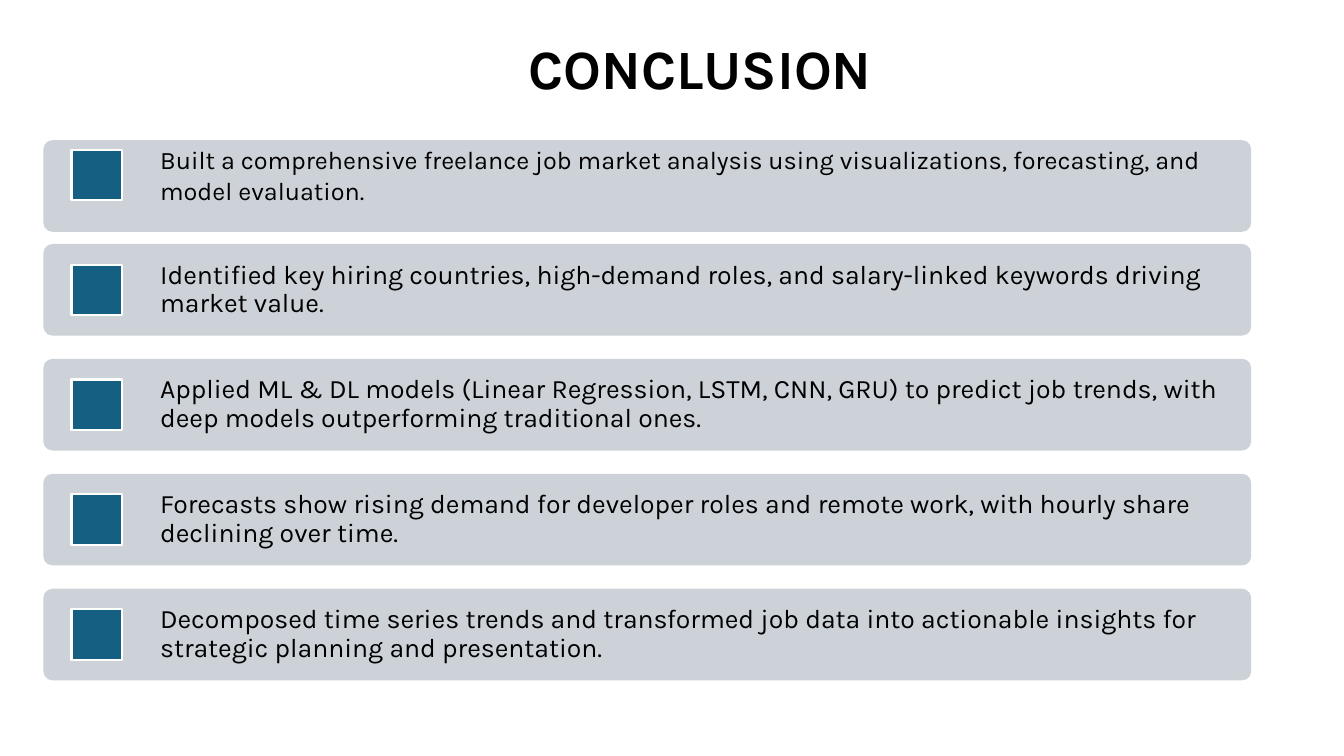
from pptx import Presentation
from pptx.dml.color import RGBColor
from pptx.enum.shapes import MSO_SHAPE
from pptx.enum.text import MSO_ANCHOR, MSO_AUTO_SIZE, PP_ALIGN
from pptx.util import Inches, Pt

BLACK = RGBColor(0x00, 0x00, 0x00)
WHITE = RGBColor(0xFF, 0xFF, 0xFF)
GREY = RGBColor(0xCC, 0xD2, 0xD8)
TEAL = RGBColor(0x15, 0x60, 0x82)

TOP = 1.28
PITCH = 1.14
HEIGHT = 0.91

# Bar shift, text size and line spacing, then the wording
POINTS = [
    (0.11, 18, 1.0, "Built a comprehensive freelance job market analysis using "
     "visualizations, forecasting, and model evaluation."),
    (0, 19, 0.9, "Identified key hiring countries, high-demand roles, and "
     "salary-linked keywords driving market value."),
    (0, 19, 0.9, "Applied ML & DL models (Linear Regression, LSTM, CNN, GRU) to "
     "predict job trends, with deep models outperforming traditional ones."),
    (0, 19, 0.9, "Forecasts show rising demand for developer roles and remote "
     "work, with hourly share declining over time."),
    (0, 19, 0.9, "Decomposed time series trends and transformed job data into "
     "actionable insights for strategic planning and presentation."),
]


class Deck:
    font = "Karla"

    def __init__(self):
        self.file = Presentation()
        self.file.slide_width = Inches(13.33)
        self.file.slide_height = Inches(7.5)
        self.slide = self.file.slides.add_slide(self.file.slide_layouts[5])

    def fill_text(self, frame, text, size, spacing, align, bold=False):
        frame.word_wrap = True
        frame.auto_size = MSO_AUTO_SIZE.NONE
        frame.vertical_anchor = MSO_ANCHOR.MIDDLE
        para = frame.paragraphs[0]
        para.alignment = align
        para.line_spacing = spacing
        run = para.add_run()
        run.text = text
        run.font.name = self.font
        run.font.size = Pt(size)
        run.font.bold = bold
        run.font.color.rgb = BLACK

    def title(self, text):
        box = self.slide.shapes.title
        box.left, box.top = Inches(1.48), Inches(0.4)
        box.width, box.height = Inches(10.93), Inches(0.61)
        self.fill_text(box.text_frame, text, 39.6, 0.9, PP_ALIGN.CENTER, True)

    def shape(self, kind, left, top, width, height, fill):
        item = self.slide.shapes.add_shape(
            kind, Inches(left), Inches(top), Inches(width), Inches(height))
        item.shadow.inherit = False
        item.fill.solid()
        item.fill.fore_color.rgb = fill
        return item

    def bar(self, top):
        item = self.shape(MSO_SHAPE.ROUNDED_RECTANGLE,
                          0.43, top, 11.98, HEIGHT, GREY)
        item.adjustments[0] = 0.1
        item.line.fill.background()

    def square(self, top):
        item = self.shape(MSO_SHAPE.RECTANGLE, 0.71, top, 0.5, 0.5, TEAL)
        item.line.color.rgb = WHITE
        item.line.width = Pt(1.5)

    def text(self, top, words, size, spacing):
        box = self.slide.shapes.add_textbox(
            Inches(1.49), Inches(top), Inches(10.93), Inches(HEIGHT))
        frame = box.text_frame
        frame.margin_top = frame.margin_bottom = Inches(0.1)
        self.fill_text(frame, words, size, spacing, PP_ALIGN.LEFT)


def main():
    deck = Deck()
    deck.title("CONCLUSION")
    for row, (shift, size, spacing, words) in enumerate(POINTS):
        top = TOP + row * PITCH
        deck.bar(top + shift)
        deck.square(top + (HEIGHT - 0.5) / 2)
        deck.text(top, words, size, spacing)
    deck.file.save("out.pptx")


if __name__ == "__main__":
    main()
